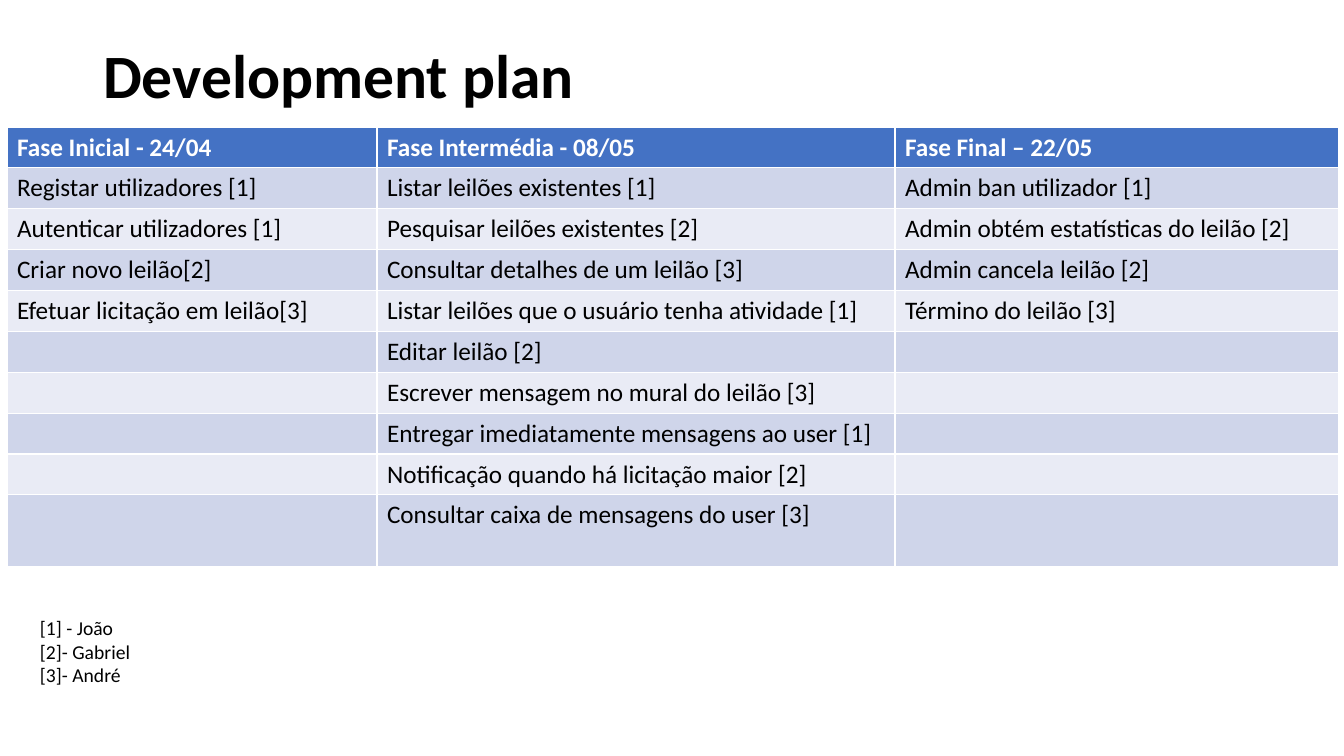
from dataclasses import dataclass
from itertools import zip_longest

from pptx import Presentation
from pptx.dml.color import RGBColor
from pptx.enum.text import MSO_ANCHOR, MSO_AUTO_SIZE, PP_ALIGN
from pptx.util import Emu, Pt

TOP = MSO_ANCHOR.TOP
LEFT = PP_ALIGN.LEFT
FIXED = MSO_AUTO_SIZE.NONE
TITLE_ONLY = 5
PIXELS_PER_INCH = 100.8


@dataclass(frozen=True)
class Theme:
    font: str = "Calibri"
    ink: str = "000000"
    paper: str = "FFFFFF"
    header: str = "4472C4"
    bands: tuple = ("CFD5EA", "E9EBF5")
    title_size: int = 44
    table_size: int = 18
    note_size: int = 14


THEME = Theme()

PHASES = {
    "Fase Inicial - 24/04": [
        "Registar utilizadores [1]",
        "Autenticar utilizadores [1]",
        "Criar novo leilão[2]",
        "Efetuar licitação em leilão[3]",
    ],
    "Fase Intermédia - 08/05": [
        "Listar leilões existentes [1]",
        "Pesquisar leilões existentes [2]",
        "Consultar detalhes de um leilão [3]",
        "Listar leilões que o usuário tenha atividade [1]",
        "Editar leilão [2]",
        "Escrever mensagem no mural do leilão [3]",
        "Entregar imediatamente mensagens ao user [1]",
        "Notificação quando há licitação maior [2]",
        "Consultar caixa de mensagens do user [3]",
    ],
    "Fase Final – 22/05": [
        "Admin ban utilizador [1]",
        "Admin obtém estatísticas do leilão [2]",
        "Admin cancela leilão [2]",
        "Término do leilão [3]",
    ],
}
MEMBERS = ["[1] - João", "[2]- Gabriel", "[3]- André"]
COLUMN_WIDTHS = [370, 518, 444]
ROW_HEIGHT = 40
LAST_ROW_HEIGHT = 72


def px(length):
    return Emu(round(length * 914400 / PIXELS_PER_INCH))


def write(frame, text, size, color=THEME.ink, bold=False, spacing=1.0):
    frame.text = text
    for para in frame.paragraphs:
        para.alignment = LEFT
        para.line_spacing = spacing
        for font in [para.font] + [span.font for span in para.runs]:
            font.name = THEME.font
            font.size = Pt(size)
            font.bold = bold
            font.color.rgb = RGBColor.from_string(color)


def add_title(page, text, left, top, width, height):
    title = page.shapes.title
    title.left, title.top = px(left), px(top)
    title.width, title.height = px(width), px(height)
    frame = title.text_frame
    frame.auto_size = FIXED
    frame.vertical_anchor = TOP
    write(frame, text, THEME.title_size, bold=True, spacing=0.9)


def add_phase_table(page, phases, left, top):
    rows = [tuple(phases), *zip_longest(*phases.values(), fillvalue="")]
    heights = [ROW_HEIGHT] * (len(rows) - 1) + [LAST_ROW_HEIGHT]
    table = page.shapes.add_table(
        len(rows), len(phases), px(left), px(top),
        px(sum(COLUMN_WIDTHS)), px(sum(heights)),
    ).table
    for column, width in zip(table.columns, COLUMN_WIDTHS):
        column.width = px(width)
    for index, (row, texts, height) in enumerate(zip(table.rows, rows, heights)):
        row.height = px(height)
        is_header = index == 0
        fill = THEME.header if is_header else THEME.bands[(index - 1) % 2]
        color = THEME.paper if is_header else THEME.ink
        for cell, text in zip(row.cells, texts):
            cell.fill.solid()
            cell.fill.fore_color.rgb = RGBColor.from_string(fill)
            write(cell.text_frame, text, THEME.table_size, color, bold=is_header)


def add_note(page, lines, left, top, width, height):
    box = page.shapes.add_textbox(px(left), px(top), px(width), px(height))
    box.text_frame.word_wrap = True
    write(box.text_frame, "\n".join(lines), THEME.note_size)


def main():
    deck = Presentation()
    deck.slide_width, deck.slide_height = px(1344), px(756)
    page = deck.slides.add_slide(deck.slide_layouts[TITLE_ONLY])
    add_title(page, "Development plan", 93, 40, 1159, 146)
    add_phase_table(page, PHASES, 7, 127)
    add_note(page, MEMBERS, 30, 611, 1281, 122)
    deck.save("out.pptx")


main()
